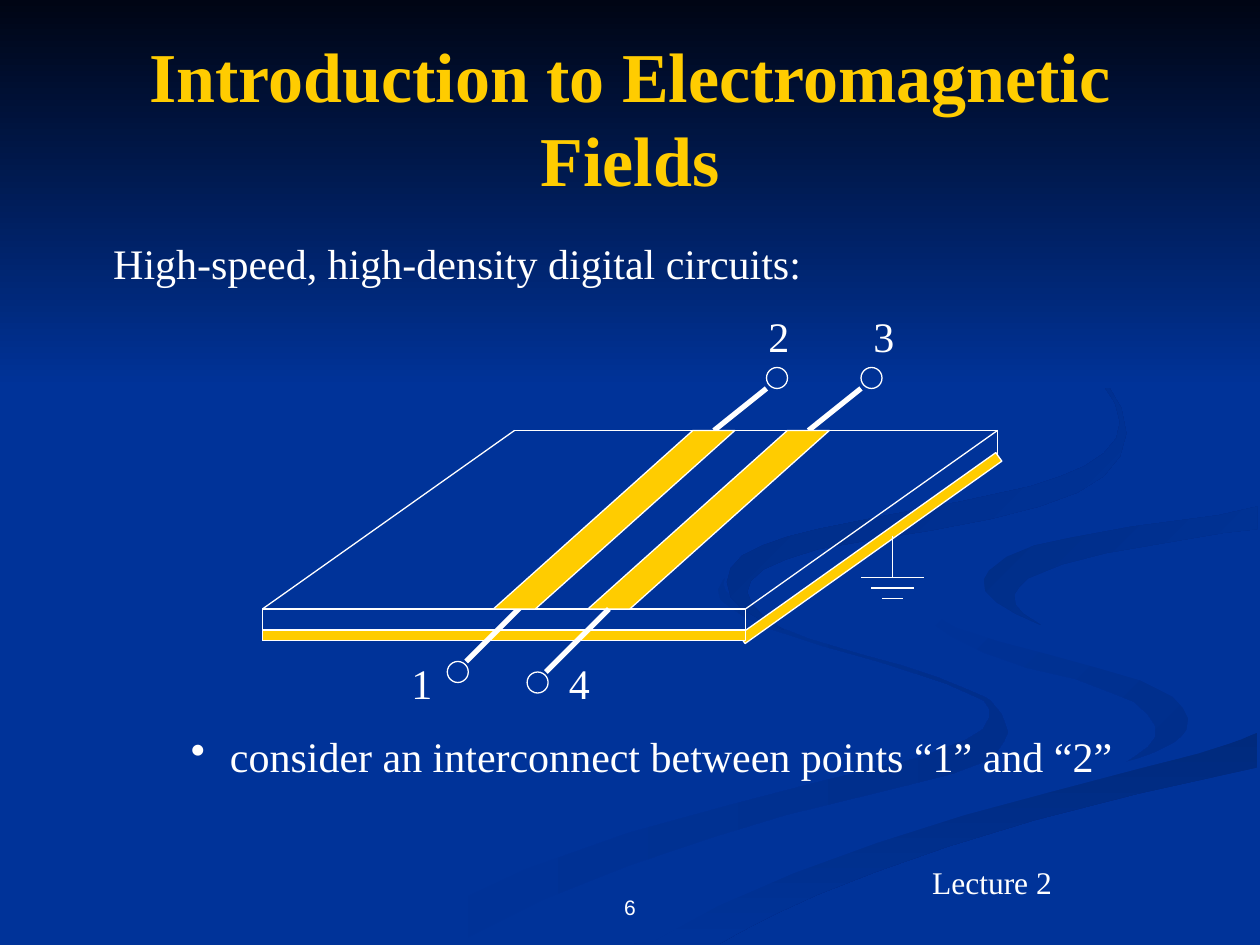
import lxml.etree
import pptx
import pptx.dml.color
import pptx.enum.shapes
import pptx.enum.text
import pptx.oxml.ns
import pptx.util

RGBColor = pptx.dml.color.RGBColor
MSO_SHAPE = pptx.enum.shapes.MSO_SHAPE
PP_ALIGN = pptx.enum.text.PP_ALIGN
MSO_ANCHOR = pptx.enum.text.MSO_ANCHOR

BLUE = RGBColor(0x00, 0x33, 0x99)
NIGHT = RGBColor(0x00, 0x05, 0x14)
GOLD = RGBColor(0xFF, 0xCC, 0x00)
WHITE = RGBColor(0xFF, 0xFF, 0xFF)
SHADE_LEFT = RGBColor(0x00, 0x2E, 0x8B)
SHADE_FLOOR = RGBColor(0x00, 0x2A, 0x7D)
SHADE_RIGHT = RGBColor(0x00, 0x2D, 0x86)
SHADE_TOP = RGBColor(0x00, 0x2B, 0x82)

COLUMNS, ROWS = 120, 90
CELL = pptx.util.Inches(10) // COLUMNS
FINE_CELL = pptx.util.Inches(0.01)

LEFT_SWIRL = [
    (781, 553), (767, 547), (745, 538), (715, 528), (682, 519), (642, 507), (614, 496),
    (594, 485), (583, 477), (576, 469), (574, 464), (575, 459), (570, 468), (572, 476),
    (581, 483), (593, 491), (611, 499), (654, 513), (697, 525), (728, 535), (752, 543),
    (770, 551), (781, 556), (785, 562), (785, 570), (780, 579), (767, 587), (749, 594),
    (727, 602), (699, 609), (652, 620), (579, 639), (499, 661), (417, 690), (338, 727),
    (300, 749), (361, 749), (431, 714), (499, 687), (564, 665), (623, 647), (676, 634),
    (721, 623), (756, 614), (780, 605), (791, 597), (797, 588), (800, 581), (795, 567),
    (786, 556)]
RIGHT_EDGE = [
    (943, 570), (939, 562), (930, 553), (919, 547), (905, 540), (870, 530), (830, 519),
    (792, 509), (758, 498), (733, 483), (727, 474), (724, 464), (725, 474), (730, 483),
    (739, 494), (755, 505), (781, 518), (815, 530), (854, 539), (880, 549), (900, 557),
    (911, 567), (917, 576), (917, 585), (911, 593), (900, 601), (894, 605), (916, 597),
    (932, 589), (941, 581)]
FLOOR_BAND = [
    (519, 747), (503, 749), (571, 749), (587, 740), (614, 726), (649, 710), (695, 692),
    (752, 672), (821, 651), (903, 630), (998, 609), (998, 581), (985, 587), (963, 594),
    (936, 602), (903, 610), (831, 629), (764, 647), (696, 669), (630, 693), (569, 719)]
MAIN_SWIRL = [
    (725, 464), (728, 474), (734, 483), (759, 498), (793, 509), (831, 519), (871, 530),
    (905, 540), (931, 553), (939, 562), (943, 570), (942, 579), (936, 587), (926, 593),
    (911, 600), (892, 605), (869, 611), (813, 625), (743, 643), (663, 668), (573, 703),
    (477, 749), (503, 749), (519, 747), (570, 719), (630, 693), (696, 669), (765, 647),
    (832, 629), (904, 610), (951, 598), (976, 590), (999, 581), (999, 538), (974, 534),
    (941, 527), (904, 519), (848, 503), (817, 492), (794, 480), (784, 469), (781, 463),
    (786, 453), (800, 442), (822, 434), (850, 427), (899, 418), (968, 409), (999, 402),
    (999, 387), (962, 395), (920, 401), (851, 411), (808, 417), (770, 427), (742, 439),
    (730, 449)]
RIGHT_CURL = [
    (781, 460), (782, 469), (791, 478), (806, 487), (826, 496), (812, 487), (806, 480),
    (805, 472), (809, 466), (816, 459), (843, 448), (878, 439), (936, 429), (971, 423),
    (998, 420), (998, 402), (967, 409), (898, 418), (849, 427), (821, 433), (799, 442),
    (785, 453)]
TOP_CURL = [
    (683, 430), (739, 421), (786, 412), (825, 402), (855, 391), (876, 378), (889, 362),
    (894, 344), (890, 324), (880, 307), (864, 291), (843, 275), (810, 256), (780, 241),
    (762, 233), (805, 254), (846, 279), (862, 292), (876, 306), (885, 320), (889, 335),
    (886, 348), (876, 360), (861, 370), (842, 378), (818, 386), (763, 398), (704, 409),
    (649, 420), (625, 426), (605, 433), (589, 441), (580, 451), (577, 462), (580, 474),
    (590, 484), (604, 492), (622, 500), (607, 490), (597, 480), (593, 470), (596, 461),
    (606, 452), (624, 444), (649, 436)]
SKY = [(0, 0), (0, 308), (1000, 308), (1000, 0)]

BACKDROP = [
    (LEFT_SWIRL, BLUE, SHADE_LEFT, 0),
    (RIGHT_EDGE, BLUE, SHADE_LEFT, 45),
    (FLOOR_BAND, SHADE_FLOOR, BLUE, 90),
    (MAIN_SWIRL, BLUE, None, 0),
    (RIGHT_CURL, SHADE_RIGHT, BLUE, 45),
    (TOP_CURL, SHADE_TOP, BLUE, 45),
    (SKY, NIGHT, BLUE, 90),
]


def write_text(frame, text, size=24, font="Times New Roman", color=WHITE, bold=False,
               align=PP_ALIGN.LEFT, anchor=MSO_ANCHOR.TOP, wrap=False, bullet_indent=None):
    frame.word_wrap = wrap
    frame.vertical_anchor = anchor
    paragraph = frame.paragraphs[0]
    paragraph.alignment = align
    run = paragraph.add_run()
    run.text = text
    run.font.size = pptx.util.Pt(size)
    run.font.name = font
    run.font.bold = bold
    run.font.color.rgb = color
    if bullet_indent is not None:
        properties = paragraph._p.get_or_add_pPr()
        properties.set("marL", str(bullet_indent))
        properties.set("indent", str(-bullet_indent))
        bullet = lxml.etree.SubElement(properties, pptx.oxml.ns.qn("a:buChar"))
        bullet.set("char", "•")


class Canvas:
    def __init__(self, slide, line_color=WHITE, line_width=0.75):
        self.slide = slide
        self.line_color = line_color
        self.line_width = line_width

    def finish(self, shape, fill, outlined=True):
        shape.shadow.inherit = False
        if fill is None:
            shape.fill.background()
        else:
            shape.fill.solid()
            shape.fill.fore_color.rgb = fill
        if outlined:
            shape.line.color.rgb = self.line_color
            shape.line.width = pptx.util.Pt(self.line_width)
        else:
            shape.line.fill.background()
        return shape

    def shape(self, kind, column, row, width, height, fill=None, rotation=0):
        box = [round(value * CELL) for value in (column, row, width, height)]
        shape = self.finish(self.slide.shapes.add_shape(kind, *box), fill)
        shape.rotation = rotation

    def terminal(self, column, row):
        self.shape(MSO_SHAPE.OVAL, column, row, 2, 2)

    def outline(self, points, fill, cell=CELL, outlined=True):
        builder = self.slide.shapes.build_freeform(*points[0], scale=cell)
        builder.add_line_segments(points[1:], close=True)
        return self.finish(builder.convert_to_shape(), fill, outlined)

    def backdrop(self, points, start, end, angle):
        shape = self.outline(points, start, FINE_CELL, outlined=False)
        if end is not None:
            shape.fill.gradient()
            shape.fill.gradient_angle = -angle % 360
            for stop, color in zip(shape.fill.gradient_stops, (start, end)):
                stop.color.rgb = color

    def line(self, start, end, width=None):
        ends = [round(value * CELL) for value in (*start, *end)]
        connector = self.slide.shapes.add_connector(
            pptx.enum.shapes.MSO_CONNECTOR.STRAIGHT, *ends)
        connector.line.color.rgb = self.line_color
        connector.line.width = pptx.util.Pt(width or self.line_width)
        lxml.etree.SubElement(connector._element.spPr, pptx.oxml.ns.qn("a:effectLst"))

    def lead(self, start, end):
        self.line(start, end, width=3)

    def text(self, text, column, row, width, height, **style):
        box = [round(value * CELL) for value in (column, row, width, height)]
        write_text(self.slide.shapes.add_textbox(*box).text_frame, text, **style)


def draw_circuit(canvas):
    canvas.shape(MSO_SHAPE.RECTANGLE, 25, 58, 46, 3)
    for start, end in [((25, 58), (49, 41)), ((49, 41), (95, 41)), ((71, 58), (95, 41)),
                       ((71, 61), (95, 44)), ((95, 41), (95, 44))]:
        canvas.line(start, end)
    canvas.shape(MSO_SHAPE.RECTANGLE, 82.4, 37.2, 1, 30, fill=GOLD, rotation=54.6)
    canvas.shape(MSO_SHAPE.RECTANGLE, 25, 60, 46, 1, fill=GOLD)

    for column in (73, 82):
        canvas.lead((column - 5, 41), (column, 37))
        canvas.terminal(column, 35)
    canvas.lead((44.4, 63), (50.4, 57))
    canvas.terminal(42.6, 63)

    canvas.line((85, 51), (85, 55))
    for step in range(3):
        canvas.line((82 + step, 55 + step), (88 - step, 55 + step))

    for column in (56, 47):
        canvas.outline([(column, 58), (column + 19, 41), (column + 23, 41),
                        (column + 4, 58)], GOLD)
    canvas.lead((52, 64), (58, 58))
    canvas.terminal(50.2, 64)

    for label, column, row in [("1", 38, 62), ("2", 72, 29), ("3", 82, 29), ("4", 53, 62)]:
        canvas.text(label, column, row, 4.3, 6)


def main():
    presentation = pptx.Presentation()
    presentation.slide_width = CELL * COLUMNS
    presentation.slide_height = CELL * ROWS
    slide = presentation.slides.add_slide(presentation.slide_layouts[6])
    slide.background.fill.solid()
    slide.background.fill.fore_color.rgb = BLUE
    canvas = Canvas(slide)

    for layer in BACKDROP:
        canvas.backdrop(*layer)
    canvas.text("Lecture 2", 87.6, 81.6, 15.7, 4.8, size=18)
    canvas.text("6", 41, 82, 38, 6.2, size=12, font="Arial", align=PP_ALIGN.CENTER,
                anchor=MSO_ANCHOR.BOTTOM, wrap=True)
    canvas.text("Introduction to Electromagnetic Fields", 6, 3.6, 108, 15, size=40,
                color=GOLD, bold=True, align=PP_ALIGN.CENTER, anchor=MSO_ANCHOR.MIDDLE,
                wrap=True)
    draw_circuit(canvas)
    canvas.text("consider an interconnect between points “1” and “2”", 17, 69, 93, 6,
                wrap=True, bullet_indent=pptx.util.Inches(0.31))
    canvas.text("High-speed, high-density digital circuits:", 9.6, 22, 78.8, 6)
    presentation.save("out.pptx")


if __name__ == "__main__":
    main()
